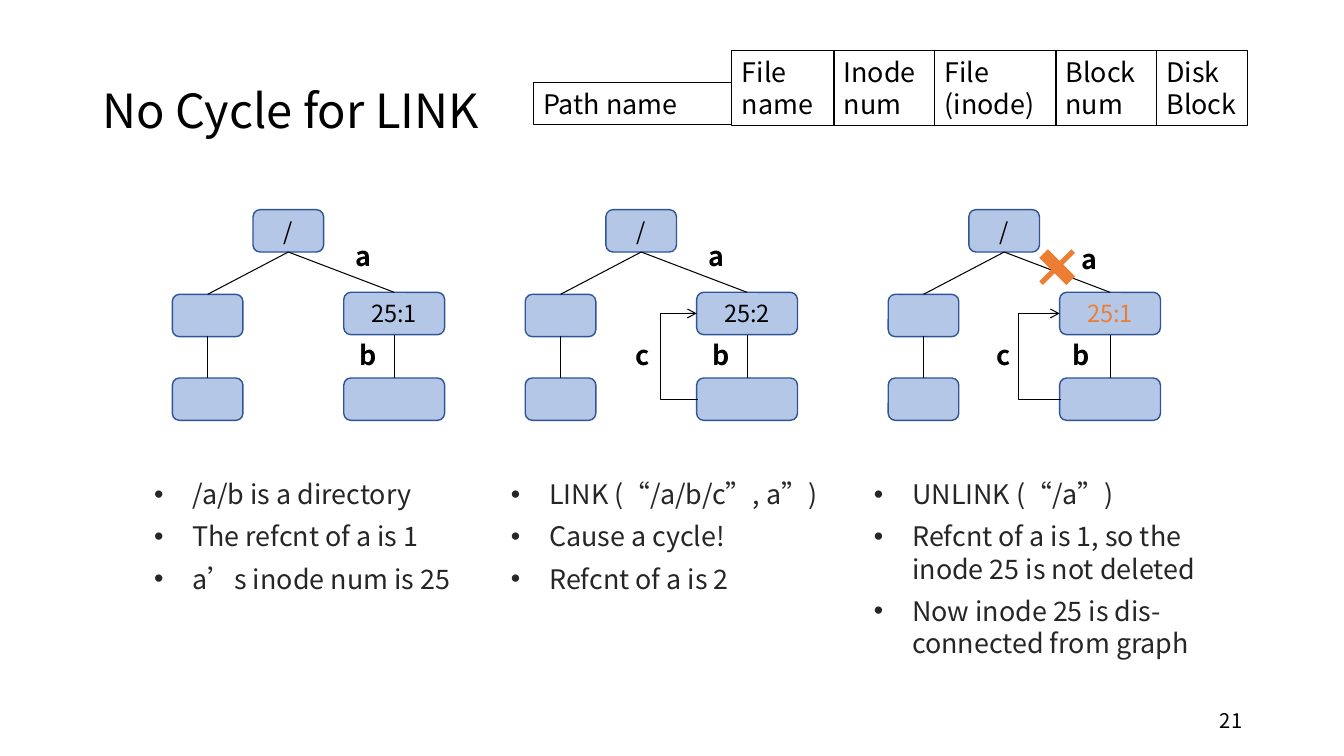
from lxml import etree
from pptx import Presentation
from pptx.dml.color import RGBColor
from pptx.enum.shapes import MSO_CONNECTOR, MSO_SHAPE
from pptx.enum.text import MSO_ANCHOR, PP_ALIGN
from pptx.oxml.ns import qn
from pptx.util import Pt

PX = 9144
FONT = "Noto Sans CJK SC"
BLACK, ORANGE = "000000", "ED7D31"
RECT, ROUND, CROSS = MSO_SHAPE.RECTANGLE, MSO_SHAPE.ROUNDED_RECTANGLE, MSO_SHAPE.CROSS
LINE, ELBOW = MSO_CONNECTOR.STRAIGHT, MSO_CONNECTOR.ELBOW
TOP, MIDDLE = MSO_ANCHOR.TOP, MSO_ANCHOR.MIDDLE
LEFT, CENTER, RIGHT = PP_ALIGN.LEFT, PP_ALIGN.CENTER, PP_ALIGN.RIGHT

CELLS = [
    ("Path name", 529, 82, 197, 42),
    ("File\nname", 726, 50, 102, 75),
    ("Inode num", 827, 50, 100, 75),
    ("File\n(inode)", 927, 50, 121, 75),
    ("Block num", 1047, 50, 100, 75),
    ("Disk\nBlock", 1147, 50, 90, 75),
]
NOTES = [
    (143, 335, "/a/b is a directory\nThe refcnt of a is 1\na’s inode num is 25"),
    (497, 330, "LINK (“/a/b/c”, a”)\nCause a cycle!\nRefcnt of a is 2"),
    (857, 396, "UNLINK (“/a”)\nRefcnt of a is 1, so the inode 25 is not deleted\n"
               "Now inode 25 is dis-connected from graph"),
]


def px(*sizes):
    """Turn px lengths into EMU."""
    return [size * PX for size in sizes]


def color(code):
    """Turn a hex string into a colour."""
    return RGBColor.from_string(code)


def dot(para):
    """Give a paragraph a hanging bullet."""
    props = para._p.get_or_add_pPr()
    props.set("marL", str(38 * PX))
    props.set("indent", str(-38 * PX))
    etree.SubElement(props, qn("a:buFont")).set("typeface", "Arial")
    etree.SubElement(props, qn("a:buChar")).set("char", "•")


def write(shape, text, size=19.2, tint=BLACK, bold=False, align=LEFT,
          anchor=TOP, space=None, gap=0, bullet=False):
    """Fill a shape with formatted text, one paragraph per line."""
    frame = shape.text_frame
    frame.word_wrap = True
    frame.vertical_anchor = anchor
    for rank, line in enumerate(text.split("\n")):
        para = frame.add_paragraph() if rank else frame.paragraphs[0]
        if bullet:
            dot(para)
        para.alignment = align
        if space:
            para.line_spacing = space
        if rank and gap:
            para.space_before = Pt(gap)
        run = para.add_run()
        run.text = line
        font = run.font
        font.name, font.size, font.bold = FONT, Pt(size), bold
        font.color.rgb = color(tint)
        etree.SubElement(run._r.get_or_add_rPr(), qn("a:ea")).set("typeface", FONT)


def label(slide, text, *box, **style):
    """Place a text box."""
    write(slide.shapes.add_textbox(*px(*box)), text, **style)


def block(slide, kind, *box, fill=None, edge=None, width=1):
    """Draw a preset shape with an optional fill and edge."""
    shape = slide.shapes.add_shape(kind, *px(*box))
    shape.shadow.inherit = False
    if fill:
        shape.fill.solid()
        shape.fill.fore_color.rgb = color(fill)
    else:
        shape.fill.background()
    if edge:
        shape.line.color.rgb = color(edge)
        shape.line.width = Pt(width)
    else:
        shape.line.fill.background()
    return shape


def node(slide, text, *box, tint=BLACK):
    """Draw a tree node."""
    shape = block(slide, ROUND, *box, fill="B4C7E7", edge="2F5597")
    if text:
        write(shape, text, size=16.8, tint=tint, align=CENTER, anchor=MIDDLE)


def link(slide, *ends, kind=LINE):
    """Join two points with a thin line."""
    line = slide.shapes.add_connector(kind, *px(*ends))
    line.line.color.rgb = color(BLACK)
    line.line.width = Pt(0.75)
    etree.SubElement(line._element.spPr, qn("a:effectLst"))
    return line


def loop(slide, left, reach):
    """Draw the bent arrow from the lower node back to the upper one."""
    line = link(slide, left + 1, 396, left, 311, kind=ELBOW)
    props = line._element.spPr
    guide = etree.SubElement(props.find(qn("a:prstGeom")).find(qn("a:avLst")), qn("a:gd"))
    guide.set("name", "adj1")
    guide.set("fmla", f"val {reach * 100000}")
    etree.SubElement(props.find(qn("a:ln")), qn("a:tailEnd")).set("type", "arrow")


def tree(slide, left, count, tint=BLACK):
    """Draw a tree of five nodes and its edges."""
    node(slide, "/", left + 80, 208, 70, 42)
    node(slide, count, left + 170, 290, 100, 42, tint=tint)
    node(slide, "", left, 292, 70, 42)
    node(slide, "", left, 375, 70, 42)
    node(slide, "", left + 170, 375, 100, 42)
    root, low, high = left + 115, left + 35, left + 220
    link(slide, root, 250, low, 292)
    link(slide, low, 333, low, 375)
    link(slide, root, 250, high, 290)
    link(slide, high, 332, high, 375)


def mark(slide, text, left, top, width=88):
    """Name an edge in bold."""
    label(slide, text, left, top, width, 42, bold=True, align=CENTER)


def main():
    """Build the slide."""
    deck = Presentation()
    deck.slide_width, deck.slide_height = px(1333, 750)
    slide = deck.slides.add_slide(deck.slide_layouts[6])
    label(slide, "No Cycle for LINK", 92, 40, 1150, 145, size=33.6, anchor=MIDDLE, space=0.9)
    label(slide, "21", 942, 695, 300, 40, size=14.4, align=RIGHT, anchor=MIDDLE)
    for text, *box in CELLS:
        write(block(slide, RECT, *box, edge=BLACK, width=0.75), text)
    tree(slide, 171, "25:1")
    tree(slide, 521, "25:2")
    tree(slide, 881, "25:1", tint=ORANGE)
    loop(slide, 691, 37)
    loop(slide, 1051, 42)
    block(slide, CROSS, 1026, 246, 45, 38, fill=ORANGE)
    cross = slide.shapes[-1]
    cross.rotation = 315
    cross.adjustments[0] = 0.434
    for left, top in (301, 233), (651, 233), (1021, 236):
        mark(slide, "a", left, top, 120)
    for left in 321, 671, 1028:
        mark(slide, "b", left, 331)
    for left in 593, 951:
        mark(slide, "c", left, 331)
    for left, width, text in NOTES:
        label(slide, text, left, 469, width, 169, tint="262626", gap=7.2, bullet=True)
    deck.save("out.pptx")


if __name__ == "__main__":
    main()
